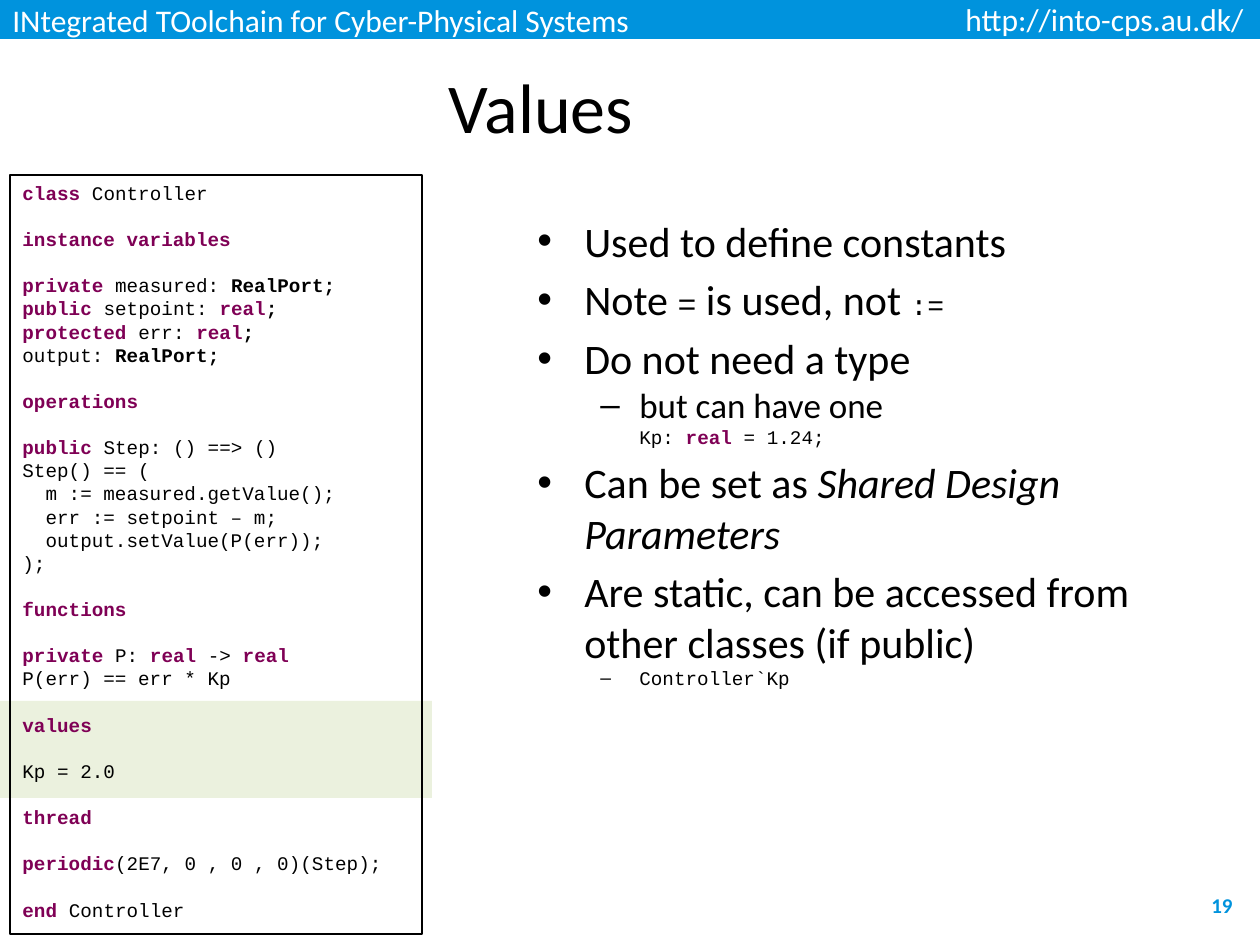
from collections import namedtuple

from lxml.etree import SubElement
from pptx import Presentation
from pptx.dml.color import RGBColor
from pptx.enum.shapes import MSO_SHAPE
from pptx.enum.text import MSO_ANCHOR, PP_ALIGN
from pptx.oxml.ns import qn
from pptx.util import Emu, Pt

EMU_PER_PX = 914400 / 126
COLORS = {"blue": "0093DD", "white": "FFFFFF", "black": "000000",
          "keyword": "7F0055", "highlight": "EBF1DE"}
SANS, MONO = "Calibri", "Courier New"
CODE_SIZE, CODE_PITCH = 11, 13.2

Span = namedtuple("Span", "text size font color bold italic",
                  defaults=(None, None, None, None, None))
Bullet = namedtuple("Bullet", "spans level size font", defaults=(0, 24, SANS))
BREAK = Span("\v")

CODE_SECTIONS = [
    [["*class ", "Controller"]],
    [["*instance variables"]],
    [["*private", " measured: ", "!RealPort;"],
     ["*public ", "setpoint: ", "*real", "!;"],
     ["*protected ", "err: ", "*real", "!;"],
     ["output: ", "!RealPort;"]],
    [["*operations"]],
    [["*public ", "Step: () ==> ()"],
     ["Step() == ("],
     ["  m := measured.getValue();"],
     ["  err := setpoint – m;"],
     ["  output.setValue(P(err));"],
     [");"]],
    [["*functions"]],
    [["*private ", "P: ", "*real ", "-> ", "*real"],
     ["P(err) == err * Kp"]],
    [["*values"]],
    [["Kp = 2.0"]],
    [["*thread"]],
    [["*periodic", "(2E7, 0 , 0 , 0)(Step);"]],
    [["*end ", "Controller"]],
]

BULLETS = [
    Bullet([Span("Used to define constants")]),
    Bullet([Span("Note "), Span("=", 18, MONO), Span(" is used, not "),
            Span(":=", 16, MONO)]),
    Bullet([Span("Do not need a type")]),
    Bullet([Span("but can have one", 20), BREAK,
            Span("Kp: ", CODE_SIZE, MONO),
            Span("real", CODE_SIZE, MONO, "keyword", True),
            Span(" = 1.24;", CODE_SIZE, MONO)], 1, 20),
    Bullet([Span("Can be set as "),
            Span("Shared Design Parameters", italic=True)]),
    Bullet([Span("Are static, can be accessed from other classes (if public)")]),
    Bullet([Span("Controller`Kp")], 1, CODE_SIZE, MONO),
]


def px(length):
    """Turn pixels into EMU."""
    return Emu(round(length * EMU_PER_PX))


def rgb(name):
    """Look up a colour by name."""
    return RGBColor.from_string(COLORS[name])


def set_font(font, size=None, name=None, color=None, bold=None, italic=None):
    """Set the font properties that are given."""
    if size:
        font.size = Pt(size)
    if name:
        font.name = name
    if color:
        font.color.rgb = rgb(color)
    if bold is not None:
        font.bold = bold
    if italic is not None:
        font.italic = italic


def add_spans(paragraph, spans):
    """Fill a paragraph with runs and line breaks."""
    for span in spans:
        if span == BREAK:
            paragraph.add_line_break()
            continue
        run = paragraph.add_run()
        run.text = span.text
        set_font(run.font, *span[1:])


def next_paragraph(frame, index):
    """Return the first paragraph of a frame or a new one."""
    return frame.add_paragraph() if index else frame.paragraphs[0]


def add_panel(slide, box, fill=None, line=None):
    """Add a rectangle with an optional fill and outline."""
    panel = slide.shapes.add_shape(MSO_SHAPE.RECTANGLE, *map(px, box))
    panel.shadow.inherit = False
    if fill:
        panel.fill.solid()
        panel.fill.fore_color.rgb = rgb(fill)
    else:
        panel.fill.background()
    if line:
        panel.line.color.rgb = rgb(line)
        panel.line.width = Pt(0.75)
    else:
        panel.line.fill.background()
    return panel


def add_frame(slide, box):
    """Add a wrapping text box and return its frame."""
    frame = slide.shapes.add_textbox(*map(px, box)).text_frame
    frame.word_wrap = True
    return frame


def write_line(frame, text, size, color, align=PP_ALIGN.LEFT,
               anchor=MSO_ANCHOR.MIDDLE, bold=False):
    """Write one line of sans text into a frame."""
    frame.vertical_anchor = anchor
    paragraph = frame.paragraphs[0]
    paragraph.text = text
    paragraph.alignment = align
    set_font(paragraph.font, size, SANS, color, bold)


def add_header(slide, box):
    """Add the project band with its web address."""
    left, top, width, _ = box
    band = add_panel(slide, box, fill="blue")
    write_line(band.text_frame, "INtegrated TOolchain for Cyber-Physical Systems",
               18, "white")
    address = add_frame(slide, (left + width - 307, top - 6, 307, 50))
    write_line(address, "http://into-cps.au.dk/", 18, "white",
               anchor=MSO_ANCHOR.TOP)


def add_code(slide, box):
    """Add the class listing with its values section highlighted."""
    left, top, width, _ = box
    add_panel(slide, (left - 10, top + 526, width + 20, 97), fill="highlight")
    frame = add_panel(slide, box, line="black").text_frame
    frame.word_wrap = True
    frame.vertical_anchor = MSO_ANCHOR.TOP
    lines = [(section and not row, pieces)
             for section, rows in enumerate(CODE_SECTIONS)
             for row, pieces in enumerate(rows)]
    for index, (starts_section, pieces) in enumerate(lines):
        paragraph = next_paragraph(frame, index)
        paragraph.alignment = PP_ALIGN.LEFT
        paragraph.line_spacing = Pt(CODE_PITCH)
        if starts_section:
            paragraph.space_before = Pt(CODE_PITCH)
        set_font(paragraph.font, CODE_SIZE, MONO, "black")
        add_spans(paragraph, [
            Span(piece.lstrip("*!") if piece[0] in "*!" else piece,
                 color="keyword" if piece[0] == "*" else "black",
                 bold=piece[0] in "*!")
            for piece in pieces])


def add_bullets(slide, box):
    """Add the two-level list of remarks."""
    frame = add_frame(slide, box)
    for index, bullet in enumerate(BULLETS):
        paragraph = next_paragraph(frame, index)
        paragraph.level = bullet.level
        margin, hanging, mark = ((47, 47, "•"), (102, 39, "–"))[bullet.level]
        properties = paragraph._p.get_or_add_pPr()
        properties.set("marL", str(px(margin)))
        properties.set("indent", str(-px(hanging)))
        SubElement(properties, qn("a:buFont")).set("typeface", "Arial")
        SubElement(properties, qn("a:buChar")).set("char", mark)
        if index and bullet.level == 0:
            paragraph.space_before = Pt(4.8)
        set_font(paragraph.font, bullet.size, bullet.font, "black")
        add_spans(paragraph, bullet.spans)


def main():
    """Build and save the slide."""
    deck = Presentation()
    deck.slide_width, deck.slide_height = px(1260), px(945)
    slide = deck.slides.add_slide(deck.slide_layouts[6])
    add_header(slide, (0, 0, 1260, 39))
    write_line(add_frame(slide, (1047, 890, 198, 30)), "19", 12, "blue",
               PP_ALIGN.RIGHT, bold=True)
    write_line(add_frame(slide, (15, 57, 1052, 98)), "Values", 40, "black",
               PP_ALIGN.CENTER)
    add_code(slide, (10, 175, 412, 759))
    add_bullets(slide, (525, 209, 668, 735))
    deck.save("out.pptx")


if __name__ == "__main__":
    main()
